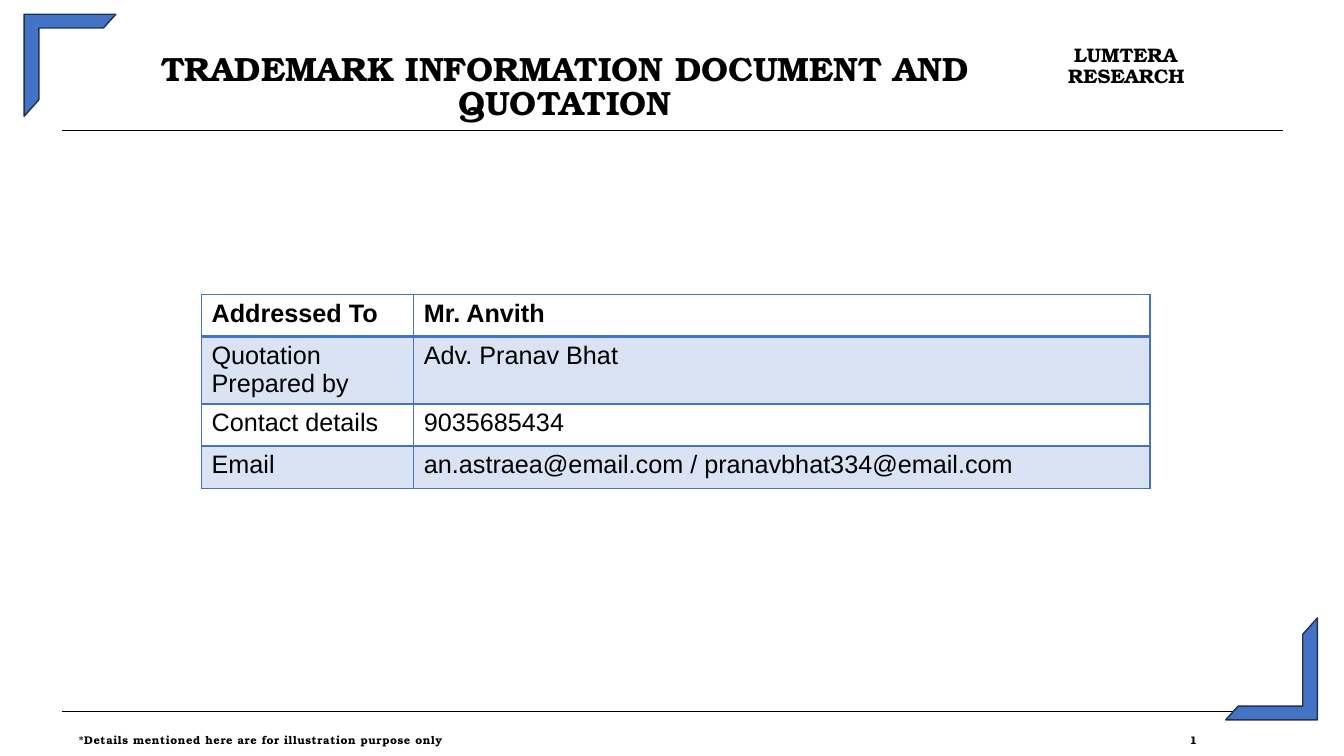
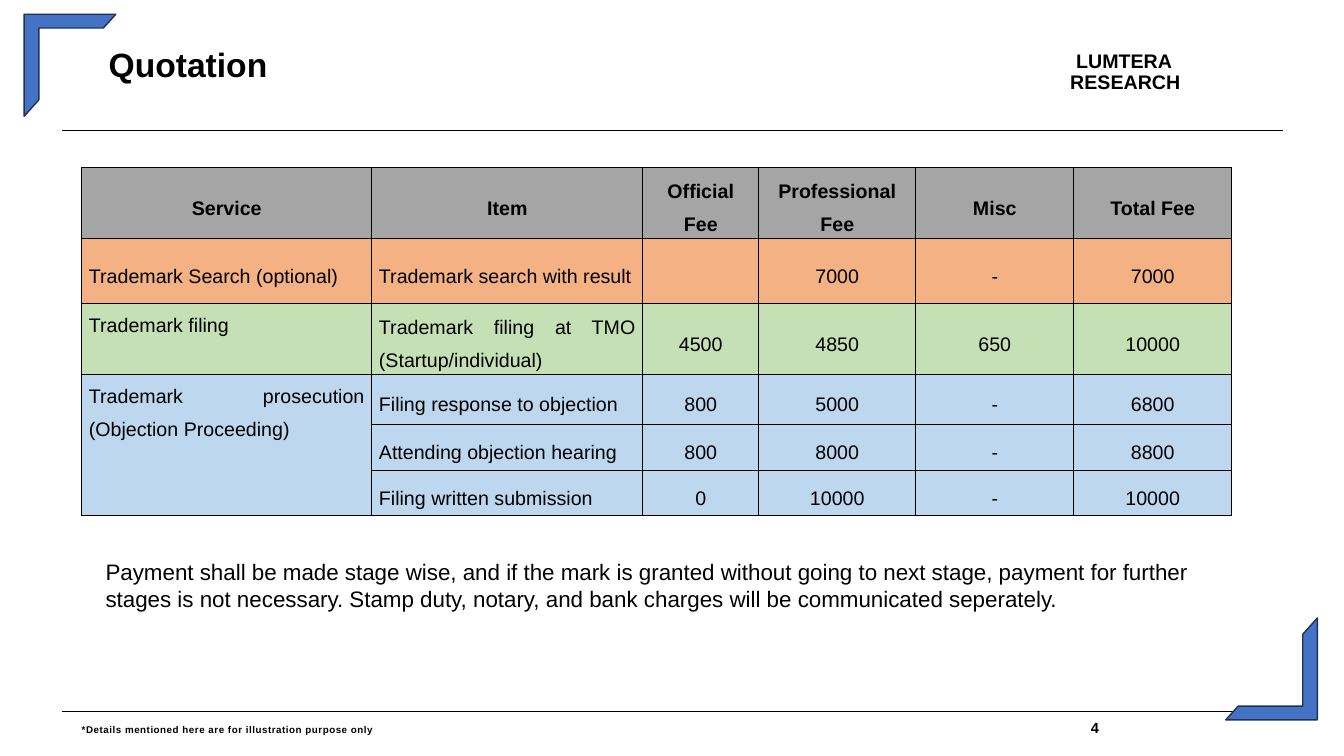
import dataclasses

import lxml.etree
import pptx
import pptx.dml.color
import pptx.enum.shapes
import pptx.enum.text
import pptx.oxml.ns
import pptx.util

Cm = pptx.util.Cm
Pt = pptx.util.Pt
Align = pptx.enum.text.PP_ALIGN
Anchor = pptx.enum.text.MSO_ANCHOR
qn = pptx.oxml.ns.qn
Color = pptx.dml.color.RGBColor.from_string


@dataclasses.dataclass(frozen=True)
class Theme:
    serif: str = "TeX Gyre Bonum"
    sans: str = "Arial"
    text: str = "000000"
    accent: str = "4472C4"
    accent_line: str = "1E3256"
    accent_tint: str = "DAE3F3"
    header: str = "A5A5A5"
    search: str = "F4B183"
    filing: str = "C5E0B4"
    prosecution: str = "BDD7EE"
    title_size: float = 24
    contact_size: float = 18
    note_size: float = 16
    brand_size: float = 14
    fee_size: float = 14


theme = Theme()


def write(frame, text, font, size, bold=False, spacing=1.0, align=Align.LEFT):
    frame.word_wrap = True
    paragraph = frame.paragraphs[0]
    paragraph.text = text
    paragraph.alignment = align
    paragraph.line_spacing = spacing
    paragraph.font.name = font
    paragraph.font.size = Pt(size)
    paragraph.font.bold = bold
    paragraph.font.color.rgb = Color(theme.text)
    return paragraph


def paint_cell(cell, fill, line, top=1, bottom=1):
    properties = cell._tc.get_or_add_tcPr()
    for side, width in (("L", 1), ("R", 1), ("T", top), ("B", bottom)):
        edge = lxml.etree.SubElement(properties, qn(f"a:ln{side}"), w=str(Pt(width)))
        solid = lxml.etree.SubElement(edge, qn("a:solidFill"))
        lxml.etree.SubElement(solid, qn("a:srgbClr"), val=line)
    if fill:
        cell.fill.solid()
        cell.fill.fore_color.rgb = Color(fill)
    else:
        cell.fill.background()


presentation = pptx.Presentation()
presentation.slide_width = Cm(33.87)
presentation.slide_height = Cm(19.05)
title_only = presentation.slide_layouts[5]

pages = [
    dict(
        title="TRADEMARK INFORMATION DOCUMENT AND QUOTATION",
        title_box=(1.65, 1.4, 25.17, 1.7), title_align=Align.CENTER, title_spacing=0.82,
        font=theme.serif, brand_box=(26.92, 1.17, 3.05, 1.1),
        footer_box=(1.98, 18.54, 30.28, 0.45), footer_size=8,
        number="1", number_size=8, number_tab=28,
    ),
    dict(
        title="Quotation",
        title_box=(2.74, 1.3, 22, 1.5), title_align=Align.LEFT, title_spacing=0.79,
        font=theme.sans, brand_box=(26.97, 1.32, 3.05, 1.1),
        footer_box=(2.06, 18.19, 30.28, 0.55), footer_size=7,
        number="4", number_size=10.5, number_tab=25.43,
    ),
]

slides = []
for page in pages:
    slide = presentation.slides.add_slide(title_only)
    slides.append(slide)

    for rule_top in (3.28, 17.93):
        rule = slide.shapes.add_connector(
            pptx.enum.shapes.MSO_CONNECTOR.STRAIGHT,
            Cm(1.55), Cm(rule_top), Cm(32.33), Cm(rule_top))
        rule.line.color.rgb = Color(theme.text)
        rule.line.width = Pt(0.5)
        lxml.etree.SubElement(rule._element.spPr, qn("a:effectLst"))

    for left, top, rotation in ((0.61, 0.36, 0), (30.89, 15.57, 180)):
        corner = slide.shapes.add_shape(
            pptx.enum.shapes.MSO_SHAPE.HALF_FRAME, Cm(left), Cm(top), Cm(2.31), Cm(2.57))
        corner.adjustments[0] = 0.15
        corner.adjustments[1] = 0.16
        corner.rotation = rotation
        corner.shadow.inherit = False
        corner.fill.solid()
        corner.fill.fore_color.rgb = Color(theme.accent)
        corner.line.color.rgb = Color(theme.accent_line)
        corner.line.width = Pt(1)

    title = slide.shapes.title
    title.left, title.top, title.width, title.height = map(Cm, page["title_box"])
    brand = slide.shapes.add_textbox(*map(Cm, page["brand_box"]))
    footer = slide.shapes.add_textbox(*map(Cm, page["footer_box"]))
    for shape in (title, brand, footer):
        frame = shape.text_frame
        frame.margin_left = frame.margin_right = frame.margin_top = frame.margin_bottom = 0
        frame.vertical_anchor = Anchor.TOP
        frame.auto_size = pptx.enum.text.MSO_AUTO_SIZE.NONE

    write(title.text_frame, page["title"], page["font"], theme.title_size, True,
          page["title_spacing"], page["title_align"])

    paragraph = write(brand.text_frame, "LUMTERA\vRESEARCH", page["font"],
                      theme.brand_size, True, 0.87)
    paragraph._p.get_or_add_pPr().set("indent", str(Cm(0.15)))

    paragraph = footer.text_frame.paragraphs[0]
    tabs = lxml.etree.SubElement(paragraph._p.get_or_add_pPr(), qn("a:tabLst"))
    lxml.etree.SubElement(tabs, qn("a:tab"), pos=str(Cm(page["number_tab"])), algn="l")
    write(footer.text_frame, "*Details mentioned here are for illustration purpose only",
          page["font"], page["footer_size"], True, 0.84)
    paragraph.font._element.set("spc", "40")
    number = paragraph.add_run()
    number.text = "\t" + page["number"]
    number.font.size = Pt(page["number_size"])

contact_slide, quotation_slide = slides

contacts = [
    ("Addressed To", "Mr. Anvith"),
    ("Quotation Prepared by", "Adv. Pranav Bhat"),
    ("Contact details", "9035685434"),
    ("Email", "an.astraea@email.com / pranavbhat334@email.com"),
]
contact_widths = (5.35, 18.55)
contact_heights = (1.06, 1.7, 1.06, 1.06)

fees = [
    (theme.header, 1.79, ("Service", "Item", "Official Fee", "Professional Fee", "Misc", "Total Fee")),
    (theme.search, 1.63, ("Trademark Search (optional)", "Trademark search with result",
                          "", "7000", "-", "7000")),
    (theme.filing, 1.8, ("Trademark filing", "Trademark filing at TMO (Startup/individual)",
                         "4500", "4850", "650", "10000")),
    (theme.prosecution, 1.25, ("Trademark prosecution (Objection Proceeding)",
                               "Filing response to objection", "800", "5000", "-", "6800")),
    (theme.prosecution, 1.16, ("", "Attending objection hearing", "800", "8000", "-", "8800")),
    (theme.prosecution, 1.14, ("", "Filing written submission", "0", "10000", "-", "10000")),
]
fee_widths = (7.31, 6.83, 2.92, 3.96, 3.98, 3.98)
fee_heights = [height for fill, height, values in fees]

tables = []
for slide, left, top, widths, heights in (
    (contact_slide, 5.08, 7.42, contact_widths, contact_heights),
    (quotation_slide, 2.06, 4.22, fee_widths, fee_heights),
):
    table = slide.shapes.add_table(
        len(heights), len(widths), Cm(left), Cm(top), Cm(sum(widths)), Cm(sum(heights))).table
    table.first_row = False
    table.horz_banding = False
    for column, width in zip(table.columns, widths):
        column.width = Cm(width)
    for row, height in zip(table.rows, heights):
        row.height = Cm(height)
    tables.append(table)
contact_table, fee_table = tables

for row_index, values in enumerate(contacts):
    for column_index, value in enumerate(values):
        cell = contact_table.cell(row_index, column_index)
        paint_cell(cell, theme.accent_tint if row_index % 2 else None, theme.accent,
                   top=2 if row_index == 1 else 1, bottom=2 if row_index == 0 else 1)
        write(cell.text_frame, value, theme.sans, theme.contact_size, row_index == 0)

fee_table.cell(3, 0).merge(fee_table.cell(5, 0))
for row_index, (fill, height, values) in enumerate(fees):
    for column_index, value in enumerate(values):
        cell = fee_table.cell(row_index, column_index)
        paint_cell(cell, fill, theme.text)
        cell.margin_left = cell.margin_right = Cm(0.18)
        cell.margin_top = cell.margin_bottom = 0
        is_top = column_index == 0 and row_index >= 2
        cell.vertical_anchor = Anchor.TOP if is_top else Anchor.MIDDLE
        is_label = row_index > 0 and column_index < 2
        write(cell.text_frame, value, theme.sans, theme.fee_size, row_index == 0, 1.5,
              Align.JUSTIFY if is_label else Align.CENTER)

payment_note = quotation_slide.shapes.add_textbox(Cm(2.41), Cm(13.94), Cm(29.54), Cm(1.62))
write(payment_note.text_frame,
      "Payment shall be made stage wise, and if the mark is granted without going to next stage, "
      "payment for further stages is not necessary. Stamp duty, notary, and bank charges will be "
      "communicated seperately.",
      theme.sans, theme.note_size)

presentation.save("out.pptx")
